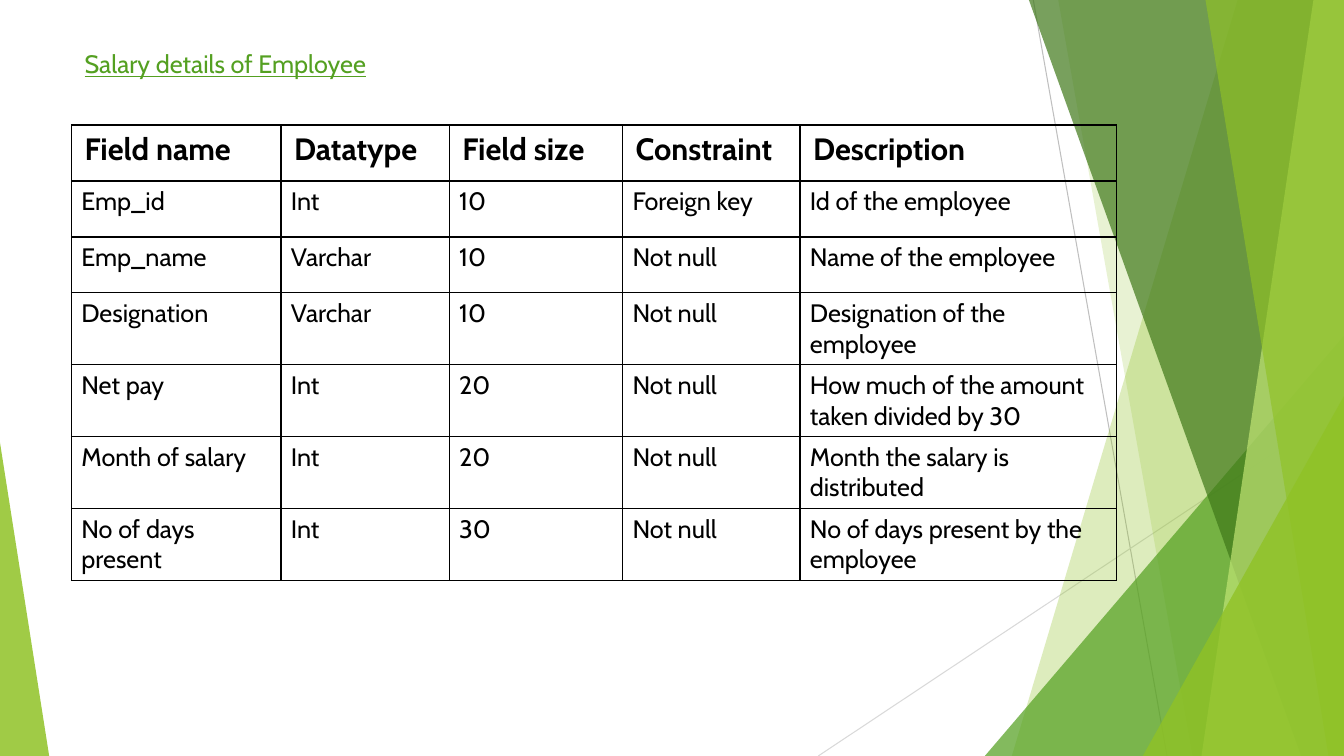
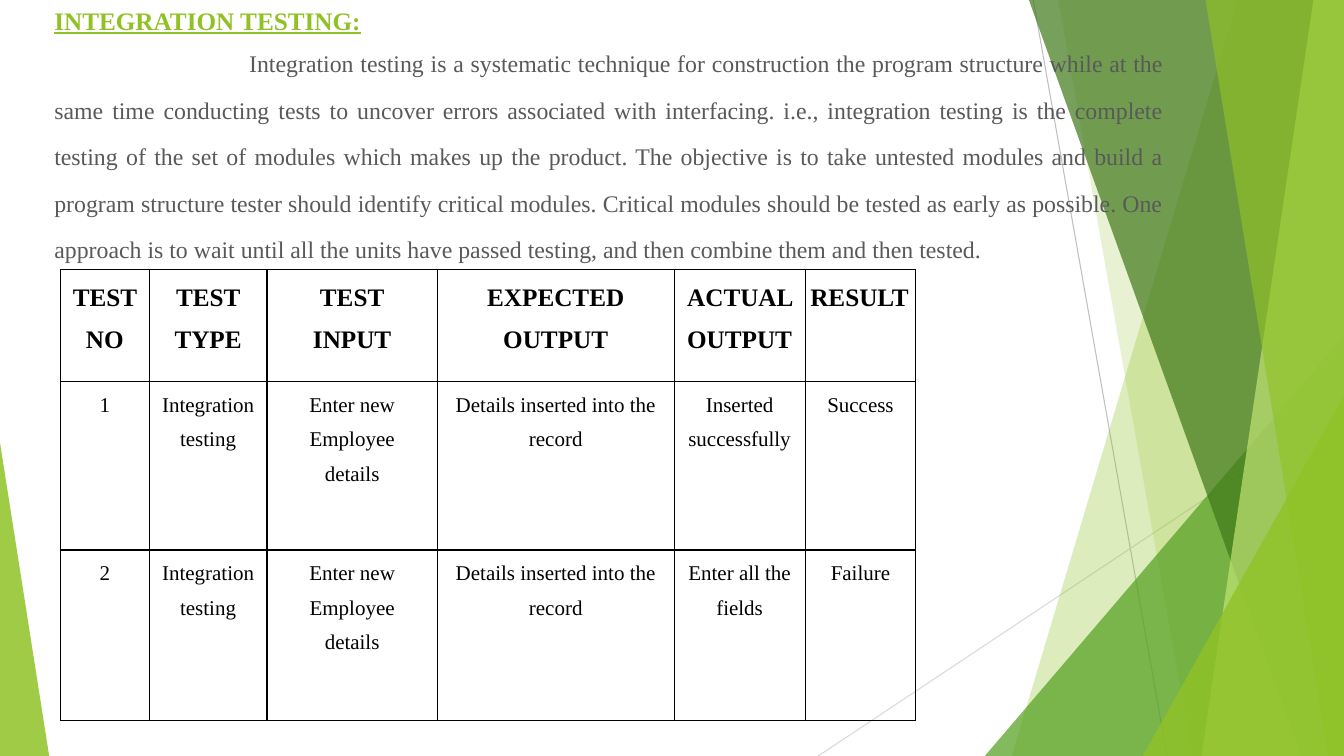
import pptx
import pptx.util
from lxml import etree
from pptx.dml.color import RGBColor
from pptx.enum.shapes import MSO_CONNECTOR, MSO_SHAPE
from pptx.enum.text import MSO_ANCHOR, MSO_AUTO_SIZE, PP_ALIGN
from pptx.oxml.ns import qn
from pptx.util import Cm

# Shared look
SLIDE_WIDTH, SLIDE_HEIGHT = 33.87, 19.05
LIME = RGBColor(0x90, 0xC2, 0x26)
PALE_LIME = RGBColor(0xC0, 0xE4, 0x74)
GREEN = RGBColor(0x54, 0xA0, 0x21)
DARK_GREEN = RGBColor(0x3F, 0x78, 0x19)
GREY = RGBColor(0x59, 0x59, 0x59)
MID_GREY = RGBColor(0xBF, 0xBF, 0xBF)
LIGHT_GREY = RGBColor(0xD9, 0xD9, 0xD9)
BLACK = RGBColor(0, 0, 0)
SANS, SERIF = "Cabin", "Times New Roman"

# Slide content
SALARY_ROWS = [
    ["Field name", "Datatype", "Field size", "Constraint", "Description"],
    ["Emp_id", "Int", "10", "Foreign key", "Id of the employee"],
    ["Emp_name", "Varchar", "10", "Not null", "Name of the employee"],
    ["Designation", "Varchar", "10", "Not null", "Designation of the employee"],
    ["Net pay", "Int", "20", "Not null", "How much of the amount taken divided by 30"],
    ["Month of salary", "Int", "20", "Not null", "Month the salary is distributed"],
    ["No of days present", "Int", "30", "Not null", "No of days present by the employee"],
]
TEST_ROWS = [
    ["TEST NO", "TEST TYPE", "TEST\nINPUT", "EXPECTED OUTPUT", "ACTUAL OUTPUT", "RESULT"],
    ["1", "Integration testing", "Enter new\nEmployee\ndetails",
     "Details inserted into the record", "Inserted successfully", "Success"],
    ["2", "Integration testing", "Enter new Employee\ndetails",
     "Details inserted into the record", "Enter all the fields", "Failure"],
]
TESTING_TEXT = (
    "Integration testing is a systematic technique for construction the program structure "
    "while at the same time conducting tests to uncover errors associated with interfacing. "
    "i.e., integration testing is the complete testing of the set of modules which makes up "
    "the product. The objective is to take untested modules and build a program structure "
    "tester should identify critical modules. Critical modules should be tested as early as "
    "possible. One approach is to wait until all the units have passed testing, and then "
    "combine them and then tested."
)


def add_run(paragraph, text, font_name, size, color, bold=False, underline=False):
    run = paragraph.add_run()
    run.text = text
    run.font.name = font_name
    run.font.size = pptx.util.Pt(size)
    run.font.color.rgb = color
    run.font.bold = bold
    run.font.underline = underline


def set_margins(holder, horizontal, vertical):
    holder.margin_left = holder.margin_right = Cm(horizontal)
    holder.margin_top = holder.margin_bottom = Cm(vertical)


# Facet artwork behind every slide
def paint(shape, color, opacity):
    shape.shadow.inherit = False
    shape.fill.solid()
    shape.fill.fore_color.rgb = color
    shape.line.fill.background()
    color_element = shape.element.find(".//" + qn("a:srgbClr"))
    etree.SubElement(color_element, qn("a:alpha"), val=str(opacity * 1000))


def add_hairline(shapes, start, end, color):
    line = shapes.add_connector(MSO_CONNECTOR.STRAIGHT, *map(Cm, start + end))
    line.line.color.rgb = color
    line.line.width = pptx.util.Pt(0.75)
    etree.SubElement(line.element.spPr, qn("a:effectLst"))


def add_facet(shapes, top_x, bottom_x, color, opacity):
    """Full-height band from a slanted left edge to the right slide edge."""
    builder = shapes.build_freeform(Cm(top_x), 0)
    corners = [(SLIDE_WIDTH, 0), (SLIDE_WIDTH, SLIDE_HEIGHT), (bottom_x, SLIDE_HEIGHT)]
    builder.add_line_segments([(Cm(x), Cm(y)) for x, y in corners], close=True)
    paint(builder.convert_to_shape(), color, opacity)


def add_triangle(shapes, left, right, top, apex, color, opacity):
    triangle = shapes.add_shape(MSO_SHAPE.ISOSCELES_TRIANGLE, Cm(left), Cm(top),
                                Cm(right - left), Cm(SLIDE_HEIGHT - top))
    triangle.adjustments[0] = apex
    paint(triangle, color, opacity)


def add_artwork(slide):
    """Build the artwork as a group and hand it to the slide's layout."""
    artwork = slide.shapes.add_group_shape()
    shapes = artwork.shapes
    add_hairline(shapes, (26.04, 0), (29.41, SLIDE_HEIGHT), MID_GREY)
    add_hairline(shapes, (SLIDE_WIDTH, 10.24), (20.62, SLIDE_HEIGHT), LIGHT_GREY)
    add_facet(shapes, 31.19, 25.5, LIME, 30)
    add_facet(shapes, 26.67, 30.05, LIME, 20)
    add_triangle(shapes, 24.82, SLIDE_WIDTH, 8.46, 1, GREEN, 72)
    add_facet(shapes, 25.93, 32.79, DARK_GREEN, 70)
    add_facet(shapes, 33.1, 30.28, PALE_LIME, 70)
    add_facet(shapes, 30.38, 33.48, LIME, 65)
    add_triangle(shapes, 28.8, SLIDE_WIDTH, 9.98, 1, LIME, 80)
    add_triangle(shapes, 0, 1.24, 11.15, 0, LIME, 85)

    layout_tree = slide.slide_layout.shapes.element
    layout_tree.insert(2, artwork.element)
    for number, properties in enumerate(layout_tree.iter(qn("p:cNvPr")), 1):
        properties.set("id", str(number))


# Slide elements
def set_title(slide, text, left, top, font_name, color, bold=False):
    title = slide.shapes.title
    title.left, title.top, title.width, title.height = map(Cm, (left, top, 11.15, 1.03))
    frame = title.text_frame
    frame.auto_size = MSO_AUTO_SIZE.NONE
    frame.word_wrap = True
    frame.vertical_anchor = MSO_ANCHOR.TOP
    set_margins(frame, 0.25, 0.13)
    frame.paragraphs[0].alignment = PP_ALIGN.LEFT
    add_run(frame.paragraphs[0], text, font_name, 18, color, bold, underline=True)


def add_body(slide, text, left, top, width, height, indent):
    body = slide.shapes.add_textbox(Cm(left), Cm(top), Cm(width), Cm(height))
    body.text_frame.word_wrap = True
    set_margins(body.text_frame, 0, 0)
    paragraph = body.text_frame.paragraphs[0]
    paragraph.alignment = PP_ALIGN.JUSTIFY
    paragraph.line_spacing = 1.63
    body.element.find(".//" + qn("a:pPr")).set("indent", str(Cm(indent)))
    add_run(paragraph, text, SERIF, 17, GREY)


def draw_borders(table_frame):
    for properties in table_frame.element.iter(qn("a:tcPr")):
        for position, side in enumerate(("lnL", "lnR", "lnT", "lnB")):
            border = etree.Element(qn("a:" + side), w=str(pptx.util.Pt(1)))
            fill = etree.SubElement(border, qn("a:solidFill"))
            etree.SubElement(fill, qn("a:srgbClr"), val=str(BLACK))
            properties.insert(position, border)


def add_grid(slide, rows, left, top, widths, heights, font_name, sizes, margins,
             alignment=PP_ALIGN.LEFT, line_spacing=1.0):
    """Ruled table; sizes and margins are pairs for the header and the other rows."""
    frame = slide.shapes.add_table(len(rows), len(widths), Cm(left), Cm(top),
                                   Cm(sum(widths)), Cm(sum(heights)))
    table = frame.table
    table.first_row = table.horz_banding = False
    for column, width in zip(table.columns, widths):
        column.width = Cm(width)
    for row_index, (row, height, texts) in enumerate(zip(table.rows, heights, rows)):
        row.height = Cm(height)
        is_header = row_index == 0
        kind = 0 if is_header else 1
        for cell, text in zip(row.cells, texts):
            cell.fill.background()
            set_margins(cell, *margins[kind])
            for line_index, line in enumerate(text.split("\n")):
                cell_text = cell.text_frame
                paragraph = cell_text.add_paragraph() if line_index else cell_text.paragraphs[0]
                paragraph.alignment = alignment
                paragraph.line_spacing = line_spacing
                add_run(paragraph, line, font_name, sizes[kind], BLACK, bold=is_header)
    draw_borders(frame)
    return table


# Slides
def build_salary_slide(slide):
    set_title(slide, "Salary details of Employee", 1.88, 1.09, SANS, GREEN)
    add_grid(slide, SALARY_ROWS, 1.8, 3.15, [5.28, 4.24, 4.37, 4.47, 7.98],
             [1.41] * 3 + [1.78] * 4, SANS, (22, 18), ((0.33, 0.15), (0.25, 0.13)))


def build_testing_slide(slide):
    set_title(slide, "INTEGRATION TESTING:", 1.12, 0, SERIF, LIME, bold=True)
    add_body(slide, TESTING_TEXT, 1.37, 0.78, 27.97, 5.6, indent=4.91)
    table = add_grid(slide, TEST_ROWS, 1.52, 6.8, [2.24, 2.97, 4.29, 5.97, 3.3, 2.79],
                     [2.82, 4.24, 4.29], SERIF, (18, 15), ((0.13, 0), (0.13, 0)),
                     PP_ALIGN.CENTER, 1.5)
    table.cell(0, 5).text_frame.paragraphs[0].alignment = PP_ALIGN.LEFT


def main():
    presentation = pptx.Presentation()
    presentation.slide_width = Cm(SLIDE_WIDTH)
    presentation.slide_height = Cm(SLIDE_HEIGHT)
    title_only = presentation.slide_layouts[5]
    salary_slide = presentation.slides.add_slide(title_only)
    add_artwork(salary_slide)
    build_salary_slide(salary_slide)
    build_testing_slide(presentation.slides.add_slide(title_only))
    presentation.save("out.pptx")


if __name__ == "__main__":
    main()
